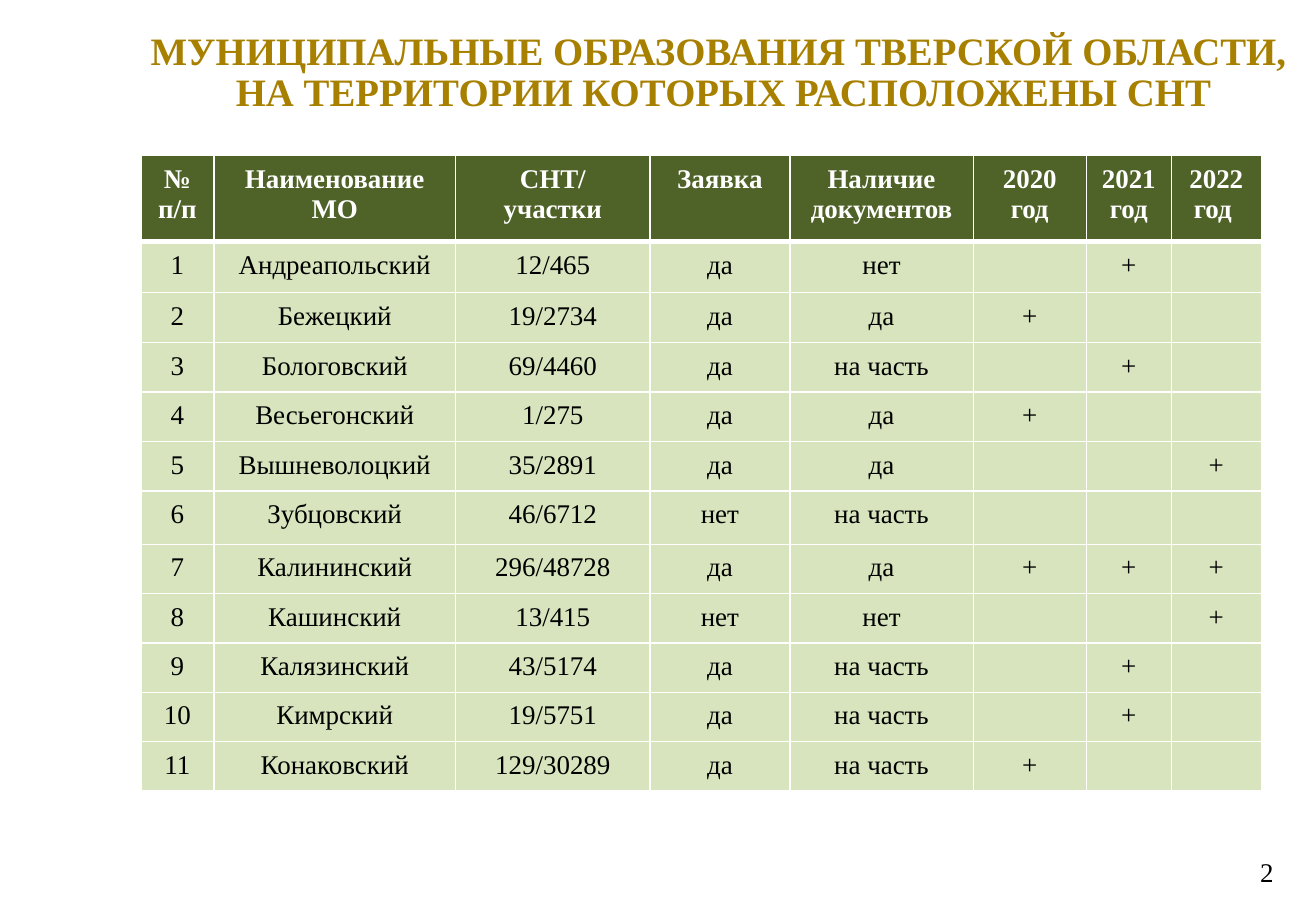
from dataclasses import dataclass

from lxml import etree
from pptx import Presentation
from pptx import util as u
from pptx.dml.color import RGBColor
from pptx.enum import text
from pptx.oxml.ns import qn


@dataclass(frozen=True)
class Theme:
    font: str = "Times New Roman"
    title_size: int = 23
    body_size: int = 16
    gold: str = "A88000"
    dark_green: str = "4F6228"
    light_green: str = "D7E4BD"
    white: str = "FFFFFF"
    black: str = "000000"
    thin: int = 1
    thick: int = 3


@dataclass(frozen=True)
class Municipality:
    name: str
    plots: str
    request: str
    documents: str
    years: tuple[int, ...] = ()

    def cells(self, number: int) -> list[str]:
        marks = ["+" if year in self.years else "" for year in YEARS]
        return [str(number), self.name, self.plots, self.request, self.documents, *marks]


THEME = Theme()
YEARS = (2020, 2021, 2022)
TITLE = "МУНИЦИПАЛЬНЫЕ ОБРАЗОВАНИЯ ТВЕРСКОЙ ОБЛАСТИ, \nНА ТЕРРИТОРИИ КОТОРЫХ РАСПОЛОЖЕНЫ СНТ"
HEADER = ["№ п/п", "Наименование МО", "СНТ/\nучастки", "Заявка", "Наличие документов",
          "2020 год", "2021 год", "2022 год "]
COLUMN_WIDTHS = [0.6, 1.99, 1.6, 1.15, 1.51, 0.93, 0.7, 0.74]
ROW_HEIGHTS = [0.71, 0.42, 0.41, 0.4, 0.41, 0.4, 0.44] + [0.4] * 5
MUNICIPALITIES = [
    Municipality("Андреапольский", "12/465", "да", "нет", (2021,)),
    Municipality("Бежецкий", "19/2734", "да", "да", (2020,)),
    Municipality("Бологовский", "69/4460", "да", "на часть", (2021,)),
    Municipality("Весьегонский", "1/275", "да", "да", (2020,)),
    Municipality("Вышневолоцкий", "35/2891", "да", "да", (2022,)),
    Municipality("Зубцовский", "46/6712", "нет", "на часть"),
    Municipality("Калининский", "296/48728", "да", "да", YEARS),
    Municipality("Кашинский", "13/415", "нет", "нет", (2022,)),
    Municipality("Калязинский", "43/5174", "да", "на часть", (2021,)),
    Municipality("Кимрский", "19/5751", "да", "на часть", (2021,)),
    Municipality("Конаковский", "129/30289", "да", "на часть", (2020,)),
]


def write(frame, content: str, size: int, color: str, bold: bool = False, align=None) -> None:
    frame.text = content
    for para in frame.paragraphs:
        para.alignment = align
        for span in para.runs:
            span.font.name = THEME.font
            span.font.size = u.Pt(size)
            span.font.bold = bold
            span.font.color.rgb = RGBColor.from_string(color)
        if not para.runs:
            # Keeps an empty cell from growing to the default type size
            etree.SubElement(para._p, qn("a:endParaRPr"), sz=str(size * 100))


def set_margins(target, side: float, end: float) -> None:
    target.margin_left = target.margin_right = u.Inches(side)
    target.margin_top = target.margin_bottom = u.Inches(end)


def add_borders(cell, top: int, bottom: int) -> None:
    properties = cell._tc.get_or_add_tcPr()
    widths = {"lnL": THEME.thin, "lnR": THEME.thin, "lnT": top, "lnB": bottom}
    for side, width in widths.items():
        line = etree.SubElement(properties, qn(f"a:{side}"), w=str(u.Pt(width)))
        fill = etree.SubElement(line, qn("a:solidFill"))
        etree.SubElement(fill, qn("a:srgbClr"), val=THEME.white)


def add_title(page) -> None:
    title = page.shapes.title
    title.left, title.top = u.Inches(1.08), u.Inches(0.2)
    title.width, title.height = u.Inches(9.76), u.Inches(1)
    frame = title.text_frame
    frame.word_wrap = True
    frame.auto_size = text.MSO_AUTO_SIZE.NONE
    frame.vertical_anchor = text.MSO_ANCHOR.TOP
    set_margins(frame, 0.12, 0.06)
    write(frame, TITLE, THEME.title_size, THEME.gold, True, text.PP_ALIGN.CENTER)
    for para in frame.paragraphs:
        para.line_spacing = 0.9


def add_municipality_table(page) -> None:
    rows = [HEADER] + [item.cells(number) for number, item in enumerate(MUNICIPALITIES, 1)]
    table = page.shapes.add_table(
        len(rows), len(HEADER), u.Inches(1.16), u.Inches(1.28),
        u.Inches(sum(COLUMN_WIDTHS)), u.Inches(sum(ROW_HEIGHTS))).table
    table.horz_banding = False
    for column, width in zip(table.columns, COLUMN_WIDTHS):
        column.width = u.Inches(width)
    for index, (row, height, contents) in enumerate(zip(table.rows, ROW_HEIGHTS, rows)):
        row.height = u.Inches(height)
        header = index == 0
        for cell, content in zip(row.cells, contents):
            set_margins(cell, 0.11, 0.07)
            add_borders(cell, THEME.thick if index == 1 else THEME.thin,
                        THEME.thick if header else THEME.thin)
            cell.fill.solid()
            cell.fill.fore_color.rgb = RGBColor.from_string(
                THEME.dark_green if header else THEME.light_green)
            write(cell.text_frame, content, THEME.body_size,
                  THEME.white if header else THEME.black, header, text.PP_ALIGN.CENTER)


def add_page_number(page) -> None:
    box = page.shapes.add_textbox(u.Inches(10.25), u.Inches(6.98), u.Inches(0.44), u.Inches(0.39))
    frame = box.text_frame
    frame.word_wrap = True
    frame.auto_size = text.MSO_AUTO_SIZE.SHAPE_TO_FIT_TEXT
    set_margins(frame, 0.12, 0.06)
    write(frame, "2", THEME.body_size, THEME.black)


def main() -> None:
    deck = Presentation()
    deck.slide_width, deck.slide_height = u.Inches(10.83), u.Inches(7.5)
    page = deck.slides.add_slide(deck.slide_layouts.get_by_name("Title Only"))
    add_title(page)
    add_page_number(page)
    add_municipality_table(page)
    deck.save("out.pptx")


if __name__ == "__main__":
    main()
